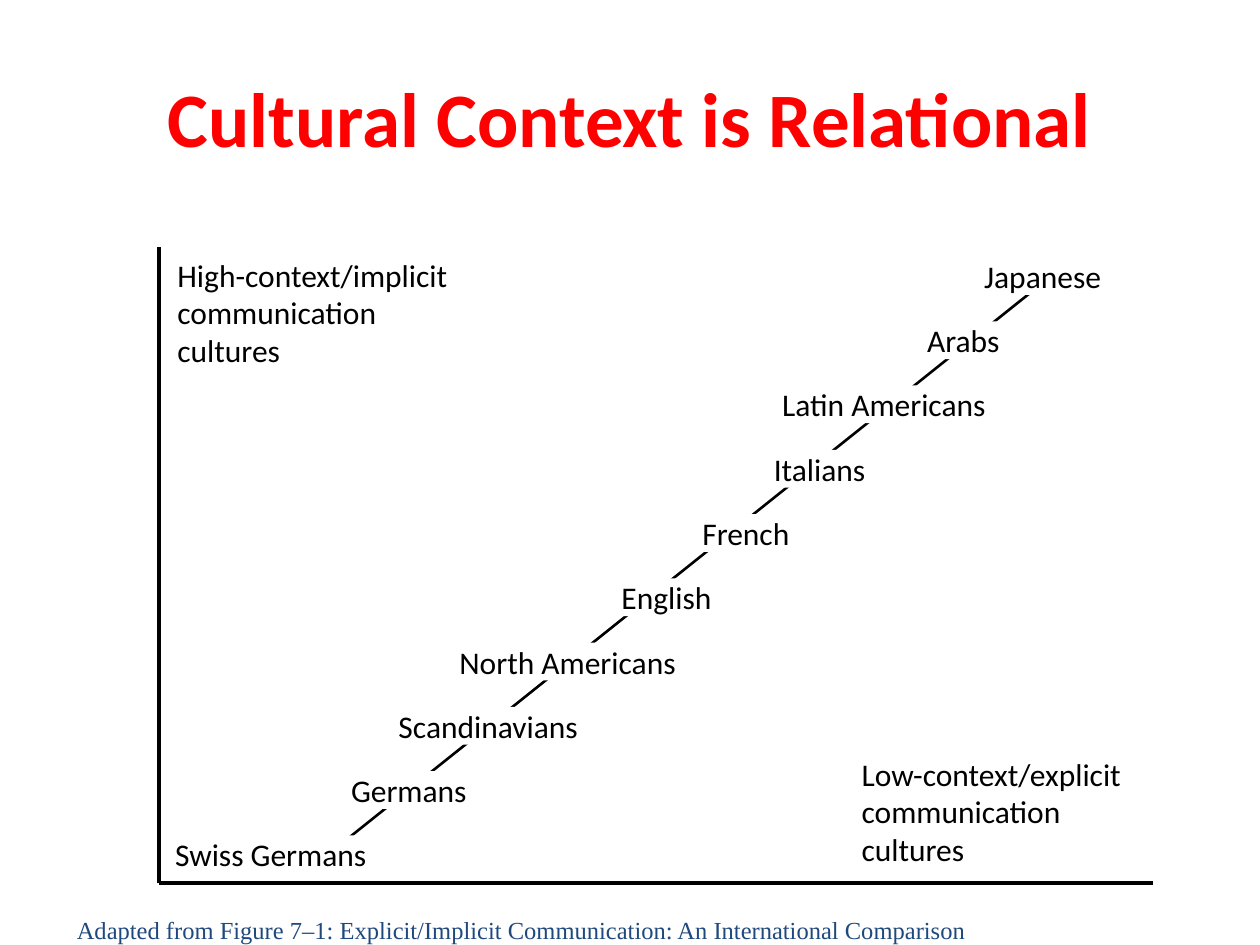
from dataclasses import dataclass

from lxml import etree
from pptx import Presentation
from pptx.dml.color import RGBColor
from pptx.enum.shapes import MSO_CONNECTOR, MSO_SHAPE
from pptx.enum.text import MSO_ANCHOR, PP_ALIGN
from pptx.oxml.ns import qn
from pptx.util import Inches, Pt

LEFT, CENTER = PP_ALIGN.LEFT, PP_ALIGN.CENTER
TOP, MIDDLE = MSO_ANCHOR.TOP, MSO_ANCHOR.MIDDLE
RECTANGLE, STRAIGHT = MSO_SHAPE.RECTANGLE, MSO_CONNECTOR.STRAIGHT


@dataclass(frozen=True)
class TextStyle:
    """Look of one kind of text."""
    size: float
    color: str
    font: str = "Calibri"
    bold: bool = False
    space_before: float = 0


@dataclass(frozen=True)
class Theme:
    """Colours, type and line widths of the slide."""
    ink: str = "000000"
    paper: str = "FFFFFF"
    title: TextStyle = TextStyle(44, "FF0000", bold=True)
    label: TextStyle = TextStyle(18, "000000", space_before=9)
    source: TextStyle = TextStyle(14, "1F497D", "Times New Roman", space_before=7)
    axis_width: float = 2.24
    trend_width: float = 1.5


THEME = Theme()
SLIDE_WIDTH, SLIDE_HEIGHT = 10, 7.5

TITLE = "Cultural Context is Relational"
SOURCE = ("Adapted from Figure 7–1: Explicit/Implicit Communication: "
          "An International Comparison")

AXIS_LEFT, AXIS_RIGHT, AXIS_TOP, AXIS_BOTTOM = 1.26, 9.15, 1.96, 7.01
AXES = [
    ((AXIS_LEFT, AXIS_TOP), (AXIS_LEFT, AXIS_BOTTOM)),
    ((AXIS_LEFT, AXIS_BOTTOM), (AXIS_RIGHT, AXIS_BOTTOM)),
]
TREND = ((2.53, 6.84), (8.37, 2.17))

LABEL_WIDTH, LABEL_HEIGHT = 2.47, 0.3
CAPTIONS = [
    ("High-context/implicit communication cultures", 1.31, 1.98),
    ("Low-context/explicit communication cultures", 6.74, 5.94),
]
# Culture, left edge, width, alignment; from high context to low
CULTURES = [
    ("Japanese", 7.04, LABEL_WIDTH, CENTER),
    ("Arabs", 6.41, LABEL_WIDTH, CENTER),
    ("Latin Americans", 5.78, LABEL_WIDTH, CENTER),
    ("Italians", 5.39, 2.23, CENTER),
    ("French", 4.84, 2.16, CENTER),
    ("English", 4.21, 2.16, CENTER),
    ("North Americans", 3.27, LABEL_WIDTH, CENTER),
    ("Scandinavians", 2.64, LABEL_WIDTH, CENTER),
    ("Germans", 2.01, LABEL_WIDTH, CENTER),
    ("Swiss Germans", 1.39, LABEL_WIDTH, LEFT),
]
FIRST_ROW, ROW_STEP = 2.04, 0.51


def write_text(shape, text, style, align=LEFT, anchor=TOP, inset=(0.1, 0.05)):
    """Fill a shape with one styled paragraph."""
    frame = shape.text_frame
    frame.word_wrap = True
    frame.vertical_anchor = anchor
    frame.margin_left = frame.margin_right = Inches(inset[0])
    frame.margin_top = frame.margin_bottom = Inches(inset[1])
    paragraph = frame.paragraphs[0]
    paragraph.alignment = align
    paragraph.space_before = Pt(style.space_before)
    run = paragraph.add_run()
    run.text = text
    run.font.name = style.font
    run.font.size = Pt(style.size)
    run.font.bold = style.bold
    run.font.color.rgb = RGBColor.from_string(style.color)


def add_line(shapes, start, end, width):
    """Draw a straight line without a shadow."""
    line = shapes.add_connector(STRAIGHT, *map(Inches, start + end))
    line.line.color.rgb = RGBColor.from_string(THEME.ink)
    line.line.width = Pt(width)
    etree.SubElement(line._element.spPr, qn("a:effectLst"))


def add_title(slide):
    """Place and format the title placeholder."""
    title = slide.shapes.title
    title.left, title.top, title.width, title.height = map(
        Inches, (0.5, 0.3, SLIDE_WIDTH - 1, 1.25))
    write_text(title, TITLE, THEME.title, CENTER, MIDDLE)


def add_frame(slide):
    """Group the two axes with the captions at their ends."""
    shapes = slide.shapes.add_group_shape().shapes
    for start, end in AXES:
        add_line(shapes, start, end, THEME.axis_width)
    for text, left, top in CAPTIONS:
        box = shapes.add_textbox(*map(Inches, (left, top, LABEL_WIDTH, 1)))
        write_text(box, text, THEME.label)


def add_cultures(slide):
    """Stack the culture labels over the trend line at equal steps."""
    for row, (name, left, width, align) in enumerate(CULTURES):
        top = FIRST_ROW + row * ROW_STEP
        label = slide.shapes.add_shape(
            RECTANGLE, *map(Inches, (left, top, width, LABEL_HEIGHT)))
        label.shadow.inherit = False
        label.fill.solid()
        label.fill.fore_color.rgb = RGBColor.from_string(THEME.paper)
        label.line.fill.background()
        write_text(label, name, THEME.label, align, inset=(0, 0))


def add_source(slide):
    """Write the source line along the bottom edge."""
    box = slide.shapes.add_textbox(
        *map(Inches, (0.5, SLIDE_HEIGHT - 0.3, SLIDE_WIDTH - 0.5, 0.35)))
    write_text(box, SOURCE, THEME.source, inset=(0.11, 0.06))


def main():
    """Build and save the slide."""
    presentation = Presentation()
    presentation.slide_width = Inches(SLIDE_WIDTH)
    presentation.slide_height = Inches(SLIDE_HEIGHT)
    slide = presentation.slides.add_slide(
        presentation.slide_layouts.get_by_name("Title Only"))
    add_title(slide)
    add_line(slide.shapes, *TREND, THEME.trend_width)
    add_frame(slide)
    add_cultures(slide)
    add_source(slide)
    presentation.save("out.pptx")


main()
